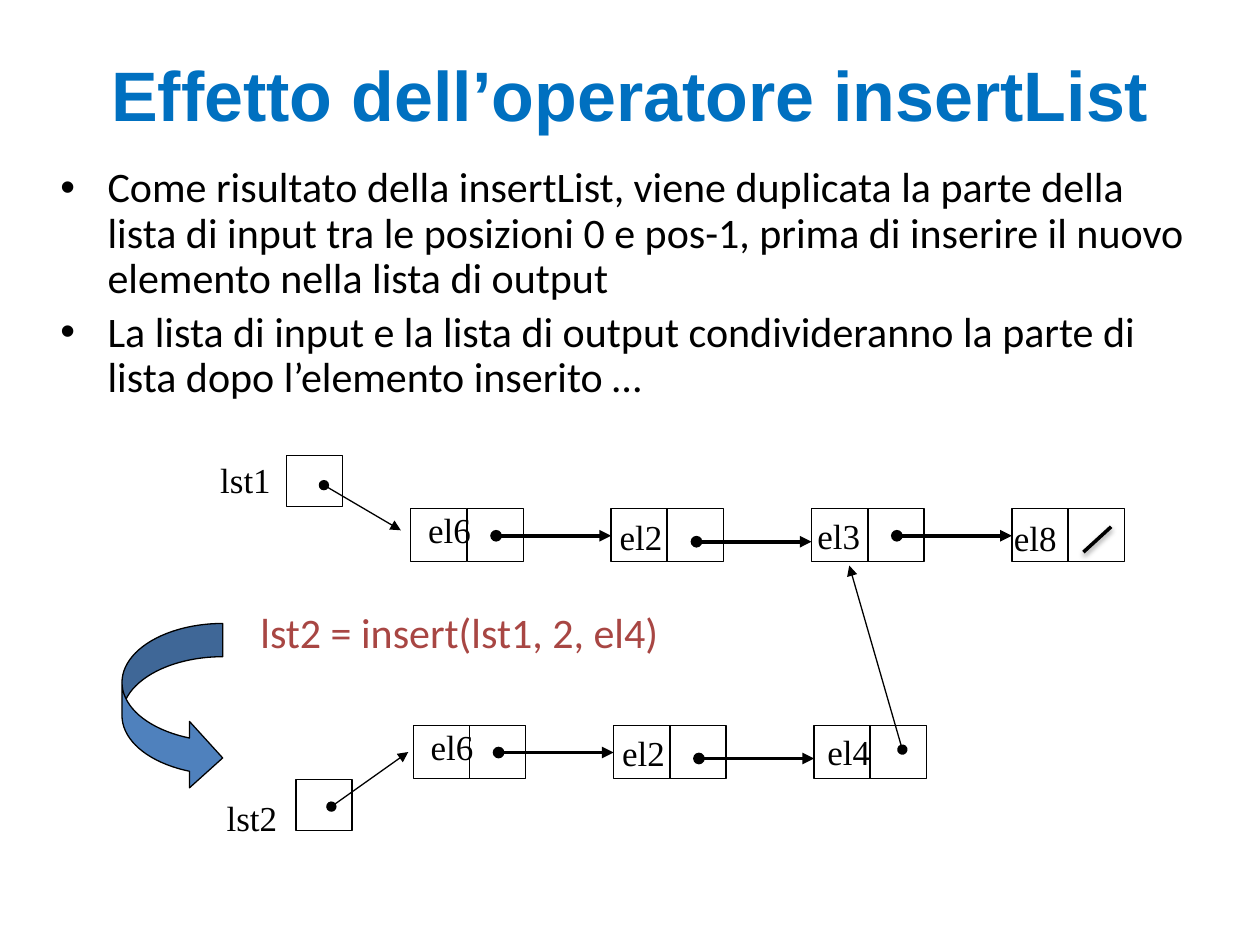
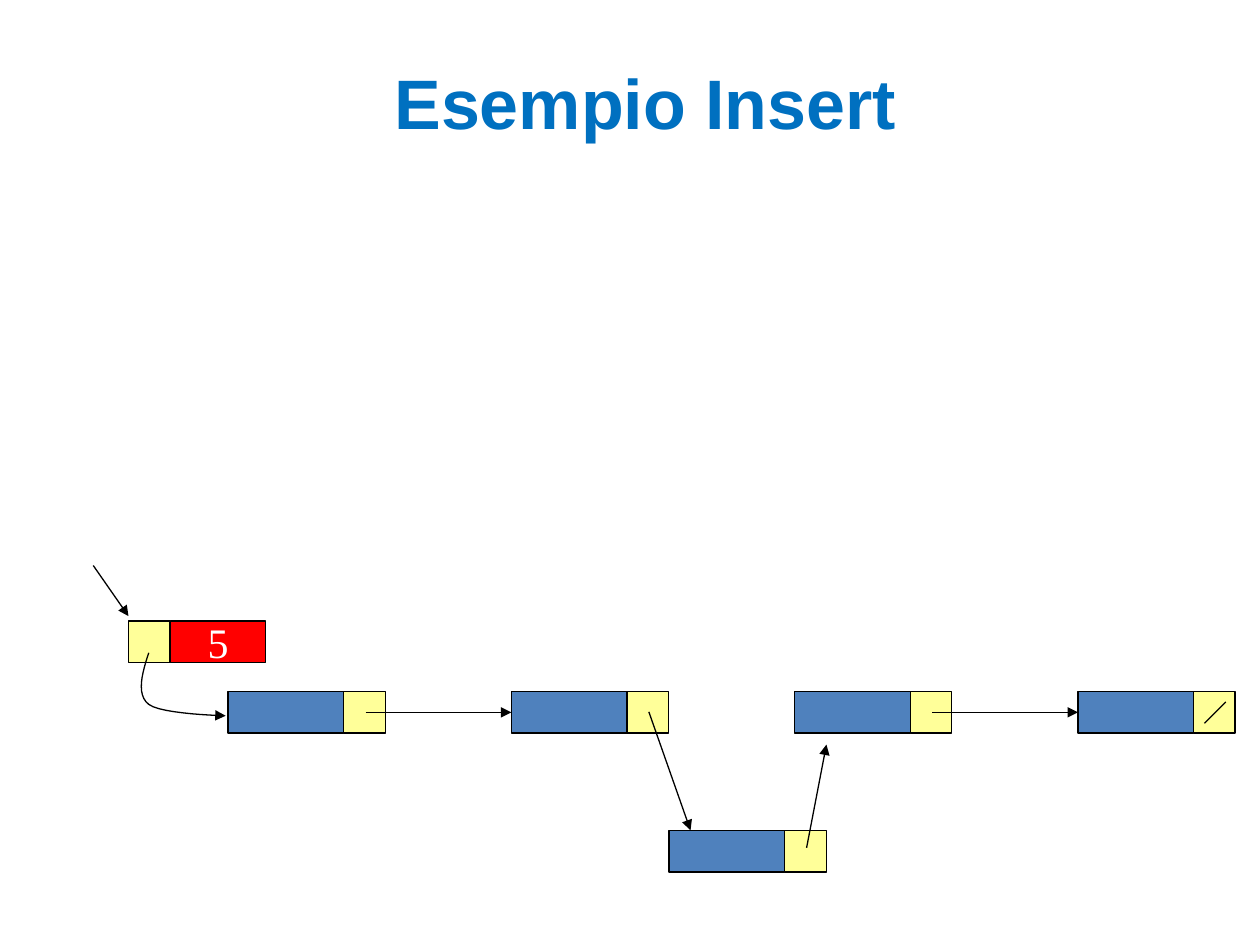
"""Build two slides on inserting an element into a linked list."""
from lxml.etree import SubElement
from pptx import Presentation
from pptx.dml.color import RGBColor
from pptx.enum.shapes import MSO_CONNECTOR, MSO_SHAPE
from pptx.enum.text import MSO_ANCHOR as Anchor, PP_ALIGN as Align
from pptx.oxml.ns import qn
from pptx.util import Cm, Pt

hex_color = RGBColor.from_string
BLACK, WHITE, BLUE, YELLOW, RED = "000000", "FFFFFF", "4F81BD", "FFFF99", "FF0000"
TITLE_BLUE, CODE_RED = "0070C0", "A84643"
SERIF, BODY = "Times New Roman", "Calibri"
RECTANGLE = MSO_SHAPE.RECTANGLE


def write(shape, texts, size, font, color, align=Align.LEFT, anchor=Anchor.TOP, bold=False, wrap=False):
    frame = shape.text_frame
    frame.word_wrap = wrap
    frame.vertical_anchor = anchor
    for index, text in enumerate(texts):
        paragraph = frame.add_paragraph() if index else frame.paragraphs[0]
        paragraph.alignment = align
        run = paragraph.add_run()
        run.text = text
        run.font.size = Pt(size)
        run.font.name = font
        run.font.bold = bold
        run.font.color.rgb = hex_color(color)
    return frame.paragraphs


def style_line(shape, weight=0.75, head=None, tail=None):
    shape.line.color.rgb = hex_color(BLACK)
    shape.line.width = Pt(weight)
    outline = shape.line._get_or_add_ln()
    for tag, end in (("a:headEnd", head), ("a:tailEnd", tail)):
        if end:
            SubElement(outline, qn(tag), type=end)
    return SubElement(shape._element.spPr, qn("a:effectLst"))


presentation = Presentation()
presentation.slide_width, presentation.slide_height = Cm(25.4), Cm(19.05)
blank = presentation.slide_layouts[6]
effect_slide = presentation.slides.add_slide(blank)
example_slide = presentation.slides.add_slide(blank)

titles = [
    (effect_slide, "Effetto dell’operatore insertList", (1.27, 0.3, 22.86, 3.18)),
    (example_slide, "Esempio Insert", (1.17, 0.53, 23.67, 3.02)),
]
for slide, title, place in titles:
    shape = slide.shapes.add_textbox(*map(Cm, place))
    write(shape, [title], 40, "Arial", TITLE_BLUE, Align.CENTER, Anchor.MIDDLE, bold=True, wrap=True)

body = effect_slide.shapes.add_textbox(Cm(0.97), Cm(3.23), Cm(23.47), Cm(5.08))
points = [
    "Come risultato della insertList, viene duplicata la parte della lista di input tra le posizioni 0 e pos-1, "
    "prima di inserire il nuovo elemento nella lista di output",
    "La lista di input e la lista di output condivideranno la parte di lista dopo l’elemento inserito …",
]
for paragraph in write(body, points, 24, BODY, BLACK, wrap=True):
    paragraph.line_spacing = 0.9
    paragraph.space_before = Pt(4.8)
    properties = paragraph._p.get_or_add_pPr()
    properties.set("marL", str(Cm(0.95)))
    properties.set("indent", str(Cm(-0.95)))
    SubElement(properties, qn("a:buFont"), typeface="Arial")
    SubElement(properties, qn("a:buChar"), char="•")

call = effect_slide.shapes.add_textbox(Cm(4.85), Cm(12.22), Cm(8.76), Cm(1.17))
paragraph = write(call, ["lst2 = insert(lst1, 2, el4)"], 24, BODY, CODE_RED)[0]
paragraph.line_spacing = 0.9
paragraph._p.get_or_add_pPr().set("marL", str(Cm(0.15)))

boxes = [
    (effect_slide, MSO_SHAPE.CURVED_RIGHT_ARROW, (2.46, 12.57, 2.03, 3.38), BLUE, None),
    (effect_slide, RECTANGLE, (5.77, 9.19, 1.13, 1.02), None, None),
    (effect_slide, RECTANGLE, (5.97, 15.72, 1.13, 1.02), None, None),
    (example_slide, RECTANGLE, (2.59, 12.52, 0.84, 0.84), YELLOW, None),
    (example_slide, RECTANGLE, (3.44, 12.52, 1.91, 0.84), RED, "5"),
]
lines = [
    (effect_slide, (6.53, 9.78, 8.08, 10.69), 0.75, "oval", "triangle"),
    (effect_slide, (6.68, 16.26, 8.23, 15.16), 0.75, "oval", "triangle"),
    (effect_slide, (18.19, 15.11, 17.12, 11.4), 0.75, "oval", "triangle"),
    (example_slide, (13.08, 14.35, 13.92, 16.74), 0.75, None, "triangle"),
    (example_slide, (24.28, 14.58, 24.71, 14.15), 0.75, None, None),
    (example_slide, (1.88, 11.4, 2.59, 12.42), 0.75, None, "triangle"),
    (example_slide, (16.26, 17.09, 16.66, 15.01), 0.75, None, "triangle"),
]
labels = [("lst1", 4.19, 9.12, 1.55), ("lst2", 4.32, 15.93, 1.55)]

list_rows = [
    (8.28, 10.25, [("el6", 0.1, -0.12), ("el2", -0.08, 0.01), ("el3", -0.13, -0.01), ("el8", -0.21, 0.04)]),
    (8.33, 14.62, [("el6", 0.1, -0.12), ("el2", -0.08, 0.01), ("el4", 0.02, -0.01)]),
]
for row_left, top, elements in list_rows:
    for column, (name, label_x, label_y) in enumerate(elements):
        left = row_left + 4.04 * column
        for cell_left in (left, left + 1.14):
            boxes.append((effect_slide, RECTANGLE, (cell_left, top, 1.13, 1.07), None, None))
        labels.append((name, left + label_x, top + label_y, 1.37))
        if column < len(elements) - 1:
            arrow_y = top + (0.67 if column == 1 else 0.55)
            arrow = (left + 1.72, arrow_y, left + 4.04, arrow_y)
            lines.append((effect_slide, arrow, 2.25, "oval", "triangle"))

nodes = [(4.6 + 5.71 * column, 13.94) for column in range(4)] + [(13.49, 16.74)]
for left, top in nodes:
    boxes.append((example_slide, RECTANGLE, (left, top, 2.33, 0.84), BLUE, None))
    boxes.append((example_slide, RECTANGLE, (left + 2.33, top, 0.84, 0.84), YELLOW, None))
for left, top in (nodes[0], nodes[2]):
    arrow = (left + 2.77, top + 0.42, left + 5.71, top + 0.42)
    lines.append((example_slide, arrow, 0.75, None, "triangle"))

for slide, kind, place, fill, text in boxes:
    shape = slide.shapes.add_shape(kind, *map(Cm, place))
    if fill:
        shape.fill.solid()
        shape.fill.fore_color.rgb = hex_color(fill)
    else:
        shape.fill.background()
    style_line(shape)
    if kind == MSO_SHAPE.CURVED_RIGHT_ARROW:
        for index, value in enumerate((0.33, 0.66, 0.33)):
            shape.adjustments[index] = value
    if text:
        write(shape, [text], 24, SERIF, WHITE, Align.CENTER, Anchor.MIDDLE)

for text, left, top, width in labels:
    shape = effect_slide.shapes.add_textbox(Cm(left), Cm(top), Cm(width), Cm(1.1))
    write(shape, [text], 20, SERIF, BLACK)

for slide, ends, weight, head, tail in lines:
    connector = slide.shapes.add_connector(MSO_CONNECTOR.STRAIGHT, *map(Cm, ends))
    style_line(connector, weight, head, tail)

end_mark = effect_slide.shapes.add_connector(MSO_CONNECTOR.STRAIGHT, Cm(21.84), Cm(11.13), Cm(22.4), Cm(10.62))
effects = style_line(end_mark, 2)
shadow = SubElement(effects, qn("a:outerShdw"), blurRad=str(Pt(3.1)), dist=str(Pt(1.6)), dir="5400000", rotWithShape="0")
shadow_color = SubElement(shadow, qn("a:srgbClr"), val=BLACK)
SubElement(shadow_color, qn("a:alpha"), val="38000")

curves = [
    ((3, 13.16), (2.87, 13.56), (2.74, 14), (3, 14.2)),
    ((3, 14.2), (3.25, 14.4), (4.55, 14.43), (4.55, 14.43)),
]
curve_points = []
for curve in curves:
    for step in range(1, 13):
        t = step / 12
        weights = ((1 - t) ** 3, 3 * t * (1 - t) ** 2, 3 * t**2 * (1 - t), t**3)
        curve_points.append([Cm(sum(w * point[axis] for w, point in zip(weights, curve))) for axis in (0, 1)])
builder = example_slide.shapes.build_freeform(Cm(3), Cm(13.16))
builder.add_line_segments(curve_points, close=False)
curved_arrow = builder.convert_to_shape()
curved_arrow.fill.background()
style_line(curved_arrow, tail="triangle")

presentation.save("out.pptx")
